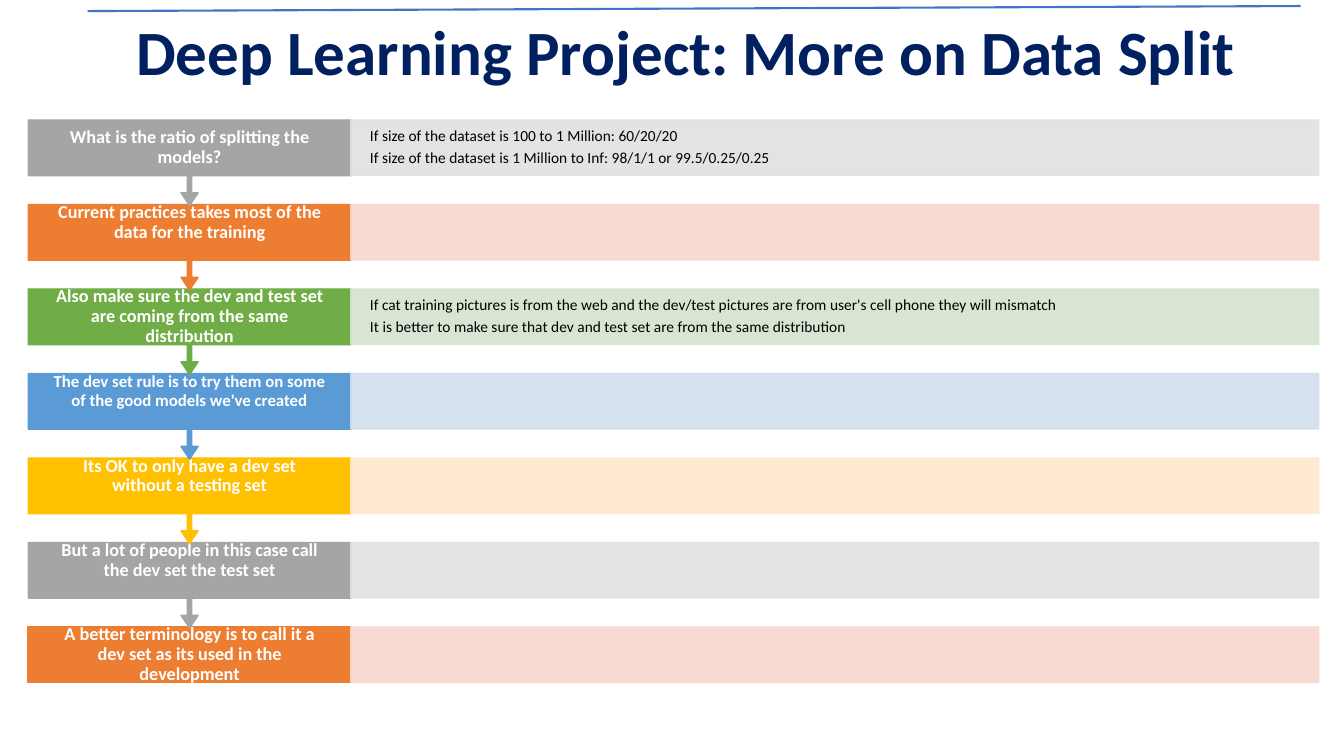
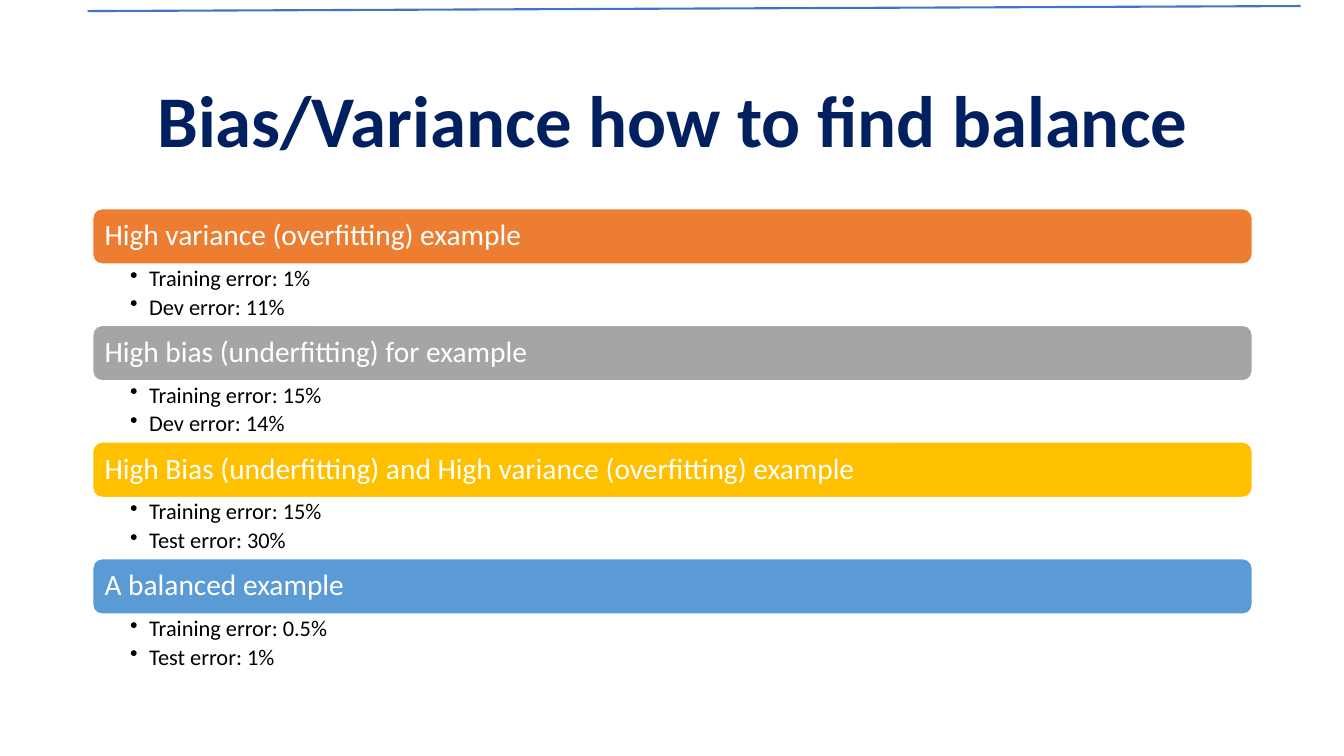
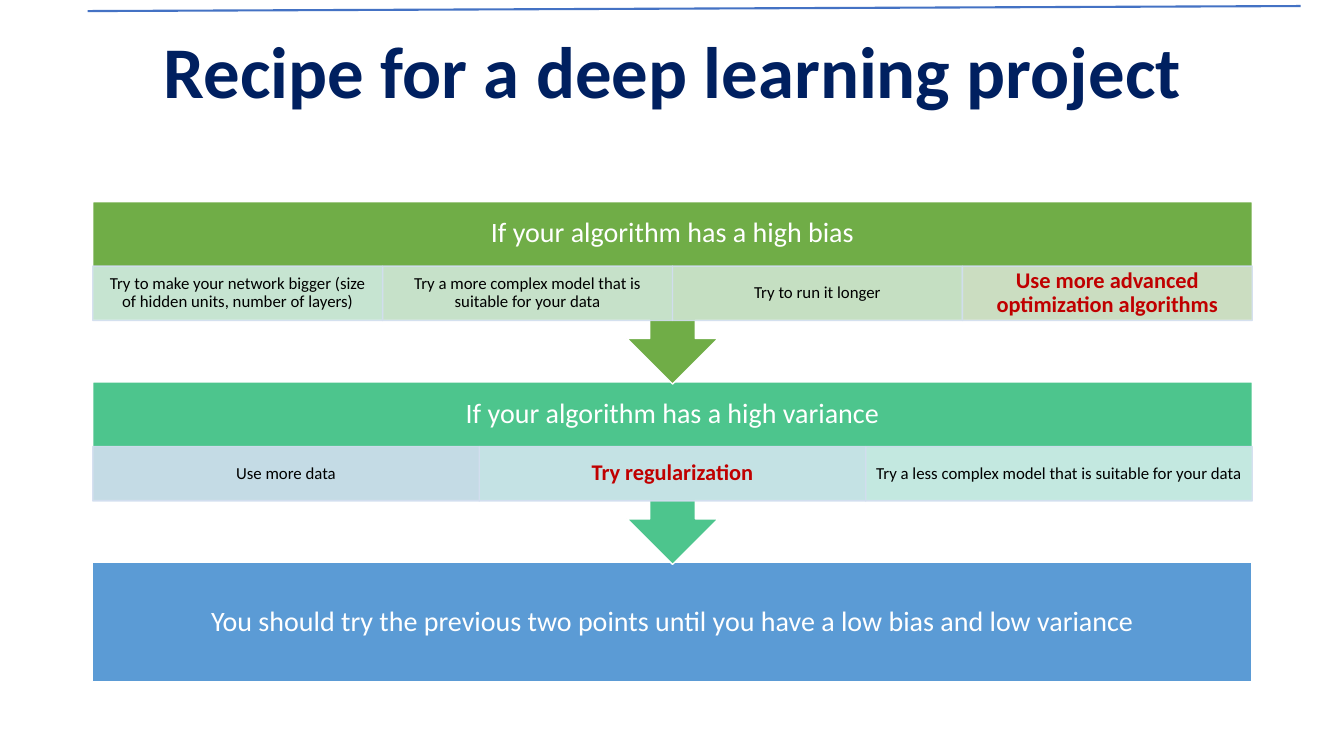
from lxml import etree
from pptx import Presentation
from pptx import util as u
from pptx.dml.color import RGBColor
from pptx.enum import shapes, text
from pptx.oxml.ns import qn

FONT = "Calibri"
COL = {
    "navy": "002060", "rule": "4472C4", "white": "FFFFFF", "black": "000000",
    "red": "C00000", "gray": "A5A5A5", "orange": "ED7D31", "green": "70AD47",
    "blue": "5B9BD5", "gold": "FFC000", "teal": "4DC58D",
    "gray_lt": "E1E1E1", "orange_lt": "F8D7CE", "green_lt": "D5E3CF",
    "blue_lt": "D2DEEF", "gold_lt": "FFE8CC", "sky_lt": "D1E6EE",
    "aqua_lt": "D0ECEA", "mint_lt": "D0EAE1", "sage_lt": "D0E7D8",
    "leaf_lt": "CFE5D0",
}
KIND = shapes.MSO_SHAPE
LEFT, MID = text.PP_ALIGN.LEFT, text.PP_ALIGN.CENTER
TOP, CENTRE = text.MSO_ANCHOR.TOP, text.MSO_ANCHOR.MIDDLE


def rgb(name):
    return RGBColor.from_string(COL[name])


def inch(box):
    return [u.Inches(v) for v in box]


def write(shape, lines, size, color, bold=False, align=MID, anchor=CENTRE,
          pad=(0.1, 0.05), gap=0.35, bullet=False):
    """Fill a shape with paragraphs of one style."""
    frame = shape.text_frame
    frame.word_wrap = True
    frame.vertical_anchor = anchor
    frame.margin_left, frame.margin_top = inch(pad[:2])
    frame.margin_right = u.Inches(pad[2] if len(pad) > 2 else pad[0])
    frame.margin_bottom = u.Inches(pad[1])
    frame.text = "\n".join(lines)
    for para in frame.paragraphs:
        para.alignment = align
        para.line_spacing = 0.9
        font = para.runs[0].font
        font.name, font.size, font.bold = FONT, u.Pt(size), bold
        font.color.rgb = rgb(color)
        if bullet:
            props = para._p.get_or_add_pPr()
            props.set("marL", str(u.Inches(0.19)))
            props.set("indent", str(u.Inches(-0.19)))
            etree.SubElement(props, qn("a:buChar")).set("char", "•")
    for para in frame.paragraphs[:-1]:
        para.space_after = u.Pt(size * gap)


def label(slide, box, lines, size, color, **style):
    write(slide.shapes.add_textbox(*inch(box)), lines, size, color, **style)


def block(slide, kind, box, fill, line, alpha=None):
    shape = slide.shapes.add_shape(kind, *inch(box))
    shape.shadow.inherit = False
    shape.fill.solid()
    shape.fill.fore_color.rgb = rgb(fill)
    shape.line.color.rgb = rgb(line)
    shape.line.width = u.Pt(1)
    if alpha:
        for node in shape._element.spPr.iter(qn("a:srgbClr")):
            etree.SubElement(node, qn("a:alpha")).set("val", str(alpha * 1000))
    return shape


def callout(slide, box, fill, line, adjust=()):
    """Box with an arrow that points down."""
    shape = block(slide, KIND.UP_ARROW_CALLOUT, box, fill, line)
    shape.rotation = 180
    for i, val in enumerate(adjust):
        shape.adjustments[i] = val


def start(deck, title, box, size):
    """New slide with the top rule and the title."""
    slide = deck.slides.add_slide(deck.slide_layouts[6])
    rule = slide.shapes.add_connector(
        shapes.MSO_CONNECTOR.STRAIGHT, *inch((0.87, 0.11, 12.9, 0.06)))
    rule.line.color.rgb = rgb("rule")
    rule.line.width = u.Pt(1.5)
    etree.SubElement(rule._element.spPr, qn("a:effectLst"))
    label(slide, box, [title], size, "navy", bold=True)
    return slide


# Slide 1: chain of rows, each a heading and a pale band
ROWS = [
    ("gray", "What is the ratio of splitting the models?",
     ["If size of the dataset is 100 to 1 Million: 60/20/20",
      "If size of the dataset is 1 Million to Inf: 98/1/1 or 99.5/0.25/0.25"]),
    ("orange", "Current practices takes most of the data for the training", []),
    ("green", "Also make sure the dev and test set are coming from the same distribution",
     ["If cat training pictures is from the web and the dev/test pictures are "
      "from user's cell phone they will mismatch",
      "It is better to make sure that dev and test set are from the same distribution"]),
    ("blue", "The dev set rule is to try them on some of the good models we've created", []),
    ("gold", "Its OK to only have a dev set without a testing set", []),
    ("gray", "But a lot of people in this case call the dev set the test set", []),
    ("orange", "A better terminology is to call it a dev set as its used in the development", []),
]


def chain(slide, box):
    x, y, wide, high = box
    head, tall = 3.2, 0.55
    step = (high - tall) / (len(ROWS) - 1)
    last = len(ROWS) - 1
    # Bottom row first, so that each arrow overlaps the row below
    for i, (color, name, notes) in reversed(list(enumerate(ROWS))):
        top = y + i * step
        if i == last:
            block(slide, KIND.RECTANGLE, (x, top, head, tall), color, color)
        else:
            callout(slide, (x, top, head, 0.85), color, color,
                    (0.05, 0.1, 0.15, 0.65))
        room = tall if notes or i == last else 0.36
        label(slide, (x, top, head, room), [name], 12 if color == "blue" else 13,
              "white", bold=True, pad=(0.23, 0.1))
        pale = color + "_lt"
        band = block(slide, KIND.RECTANGLE, (x + head, top, wide - head, tall),
                     pale, pale, 90)
        if notes:
            write(band, notes, 11, "black", align=LEFT, pad=(0.19, 0.15))


# Slide 2: stacked headings with bullets
CASES = [
    ("orange", "High variance (overfitting) example",
     ["Training error: 1%", "Dev error: 11%"]),
    ("gray", "High bias (underfitting) for example",
     ["Training error: 15%", "Dev error: 14%"]),
    ("gold", "High Bias (underfitting) and High variance (overfitting) example",
     ["Training error: 15%", "Test error: 30%"]),
    ("blue", "A balanced example",
     ["Training error: 0.5%", "Test error: 1%"]),
]


def stack(slide, box):
    x, y, wide, high = box
    bar, step = 0.55, high / len(CASES)
    for i, (color, name, errors) in enumerate(CASES):
        top = y + i * step
        head = block(slide, KIND.ROUNDED_RECTANGLE, (x, top, wide, bar),
                     color, "white")
        write(head, [name], 21, "white", align=LEFT, pad=(0.09, 0.09))
        label(slide, (x, top + bar, wide, step - bar), errors, 16, "black",
              align=LEFT, anchor=TOP, pad=(0.37, 0.03, 0.16), gap=0.2,
              bullet=True)


# Slide 3: steps with a row of options; True marks a key option
BIAS = [
    ("Try to make your network bigger (size of hidden units, number of layers)",
     "mint_lt", False),
    ("Try a more complex model that is suitable for your data", "sage_lt", False),
    ("Try to run it longer", "leaf_lt", False),
    ("Use more advanced optimization algorithms", "green_lt", True),
]
NOISE = [
    ("Use more data", "blue_lt", False),
    ("Try regularization", "sky_lt", True),
    ("Try a less complex model that is suitable for your data", "aqua_lt", False),
]


def phase(slide, box, color, name, cells):
    x, y, wide, high = box
    callout(slide, box, color, "white")
    label(slide, (x, y, wide, high * 0.35), [name], 20, "white", pad=(0.16, 0.16))
    cell = wide / len(cells)
    for i, (words, fill, key) in enumerate(cells):
        item = block(slide, KIND.RECTANGLE, (x + i * cell, y + 0.64, cell, 0.54),
                     fill, "blue_lt", 90)
        write(item, [words], 16 if key else 12, "red" if key else "black",
              bold=key, pad=(0.12 if key else 0.09, 0.02))


def recipe(slide, box):
    x, y, wide, high = box
    step, tall = 1.79, 1.81
    end = block(slide, KIND.RECTANGLE,
                (x, y + 2 * step, wide, high - 2 * step), "blue", "white")
    write(end, ["You should try the previous two points until you have a low "
                "bias and low variance"], 20, "white", pad=(0.16, 0.16))
    phase(slide, (x, y + step, wide, tall), "teal",
          "If your algorithm has a high variance", NOISE)
    phase(slide, (x, y, wide, tall), "green",
          "If your algorithm has a high bias", BIAS)


def main():
    deck = Presentation()
    deck.slide_width, deck.slide_height = inch((13.33, 7.5))
    chain(start(deck, "Deep Learning Project: More on Data Split",
                (0.56, 0.16, 12.48, 0.77), 45), (0.28, 1.19, 12.8, 5.58))
    stack(start(deck, "Bias/Variance how to find balance",
                (0.92, 0.61, 11.5, 1.24), 52), (0.92, 2.07, 11.5, 4.63))
    recipe(start(deck, "Recipe for a deep learning project",
                 (0.92, 0.12, 11.5, 1.24), 52), (0.92, 2, 11.5, 4.76))
    deck.save("out.pptx")


if __name__ == "__main__":
    main()
